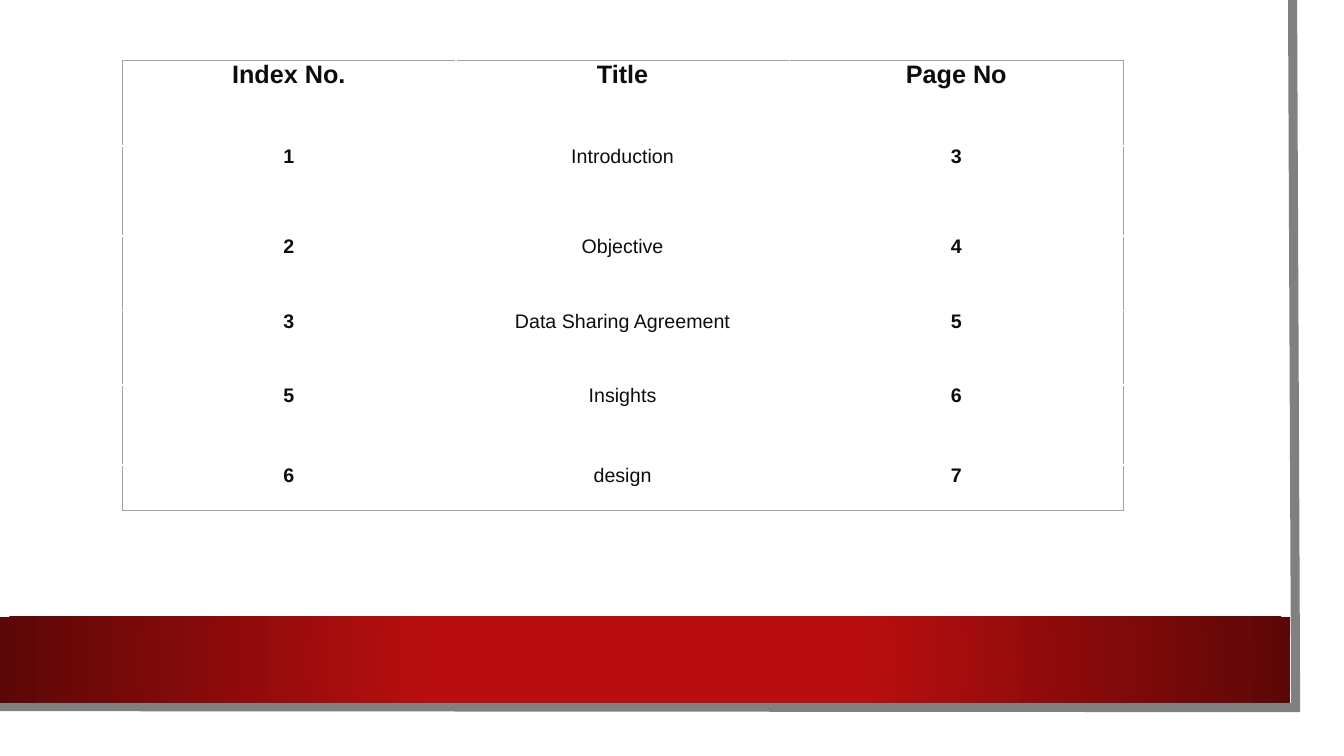
from lxml import etree
from pptx import Presentation
from pptx import util as u
from pptx.dml import color
from pptx.enum import shapes, text
from pptx.oxml import ns, parse_xml

PX = 9144
WHITE, GREY, INK = "FFFFFF", "A4A1A3", "0D0D0D"
SHEET_BOX = (0, 0, 1310, 727)
INDEX_BOX = (121, 60, 993, 447)
ROW_HEIGHTS = (85, 89, 74, 74, 79, 46)
ROW_GAPS = (2.6, 2.5, 3.5, 3.6, 3.6, 3.6)
INDEX = (
    ("Index No.", "Title", "Page No"),
    ("1", "Introduction", "3"),
    ("2", "Objective", "4"),
    ("3", "Data Sharing Agreement", "5"),
    ("5", "Insights", "6"),
    ("6", "design", "7"),
)


def px(*lengths):
    return [u.Emu(length * PX) for length in lengths]


def rgb(code):
    return color.RGBColor.from_string(code)


def add_panel(slide, box):
    panel = slide.shapes.add_shape(shapes.MSO_SHAPE.RECTANGLE, *px(*box))
    panel.shadow.inherit = False
    panel.line.fill.background()
    return panel


def add_backdrop(slide, box):
    left, top, width, height = box
    sheet = add_panel(slide, box)
    sheet.fill.solid()
    sheet.fill.fore_color.rgb = rgb(WHITE)

    right, bottom = left + width - 25, top + height - 25
    builder = slide.shapes.build_freeform(right - 3, top, scale=PX)
    builder.add_line_segments([(right, bottom), (left - 3, bottom - 1)], close=False)
    edge = builder.convert_to_shape()
    edge.shadow.inherit = False
    edge.fill.background()
    edge.line.color.rgb = rgb("808080")
    edge.line.width = u.Pt(6.5)
    outline = edge._element.spPr.find(ns.qn("a:ln"))
    etree.SubElement(outline, ns.qn("a:miter"), lim="800000")

    band = add_panel(slide, (left, top + 612, width - 30, 85))
    band.fill.gradient()
    for stop, (position, code) in zip(band.fill.gradient_stops, ((0.34, "B80E0F"), (1, "5C0707"))):
        stop.position = position
        stop.color.rgb = rgb(code)
    gradient = band._element.spPr.find(ns.qn("a:gradFill"))
    gradient.replace(gradient.find(ns.qn("a:lin")), parse_xml(
        f'<a:path {ns.nsdecls("a")} path="circle">'
        '<a:fillToRect l="50000" t="50000" r="50000" b="50000"/></a:path>'))


def set_borders(cell, borders):
    properties = cell._tc.get_or_add_tcPr()
    for place, (side, (code, points)) in enumerate(borders.items()):
        properties.insert(place, parse_xml(
            f'<a:ln{side} {ns.nsdecls("a")} w="{u.Pt(points)}"><a:solidFill>'
            f'<a:srgbClr val="{code}"/></a:solidFill></a:ln{side}>'))


def fill_cell(cell, tinted):
    if not tinted:
        cell.fill.background()
        return
    cell.fill.solid()
    cell.fill.fore_color.rgb = rgb(WHITE)
    tint = cell._tc.tcPr.find(".//" + ns.qn("a:srgbClr"))
    etree.SubElement(tint, ns.qn("a:alpha"), val="20000")


def write_cell(cell, wording, gap, style):
    for side in ("left", "top", "right", "bottom"):
        setattr(cell, f"margin_{side}", 0)
    entry = cell.text_frame.paragraphs[0]
    entry.alignment = text.PP_ALIGN.CENTER
    entry.space_before = u.Pt(gap)
    run = entry.add_run()
    run.text = wording
    run.font.color.rgb = rgb(INK)
    for name, value in style.items():
        setattr(run.font, name, value)


def add_index(slide, box):
    last_row, last_column = len(INDEX) - 1, len(INDEX[0]) - 1
    index = slide.shapes.add_table(last_row + 1, last_column + 1, *px(*box)).table
    index.first_row = index.horz_banding = False
    for column in index.columns:
        column.width = px(box[2] // (last_column + 1))[0]
    outer, inner, under_header = (GREY, 0.75), (WHITE, 1.5), (WHITE, 2)
    for r, entries in enumerate(INDEX):
        index.rows[r].height = px(ROW_HEIGHTS[r])[0]
        for c, wording in enumerate(entries):
            cell = index.cell(r, c)
            style = {"name": "Arial", "size": u.Pt(18 if r == 0 else 14), "bold": r == 0 or c != 1}
            write_cell(cell, wording, ROW_GAPS[r], style)
            fill_cell(cell, r in (1, 3) or (c == 1 and 0 < r < last_row))
            set_borders(cell, {
                "L": outer if c == 0 else inner,
                "R": outer if c == last_column else inner,
                "T": outer if r == 0 else under_header if r == 1 else inner,
                "B": outer if r == last_row else under_header if r == 0 else inner,
            })


def main():
    deck = Presentation()
    deck.slide_width, deck.slide_height = u.Inches(13.33), u.Inches(7.5)
    slide = deck.slides.add_slide(deck.slide_layouts[6])
    add_backdrop(slide, SHEET_BOX)
    add_index(slide, INDEX_BOX)
    deck.save("out.pptx")


if __name__ == "__main__":
    main()
